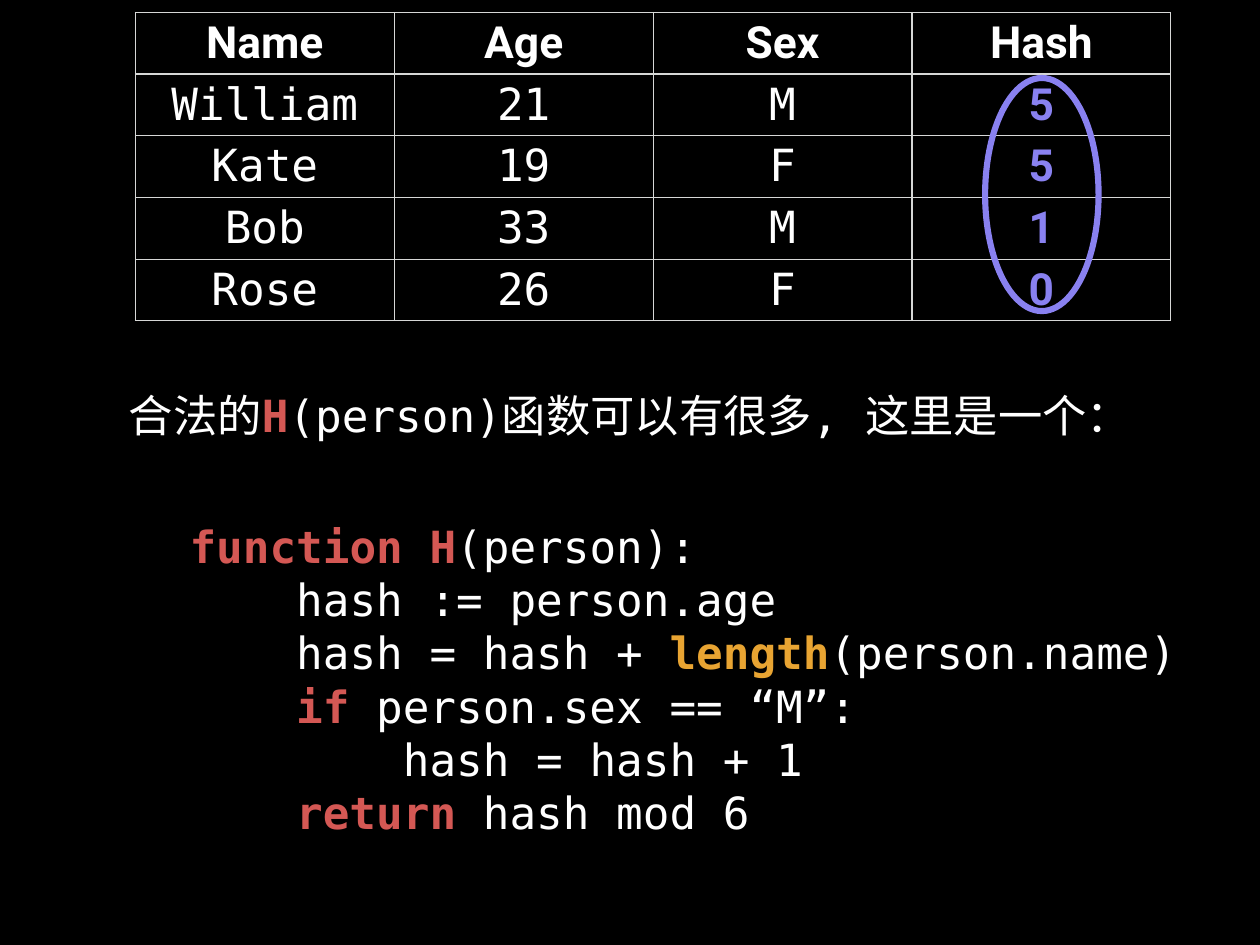
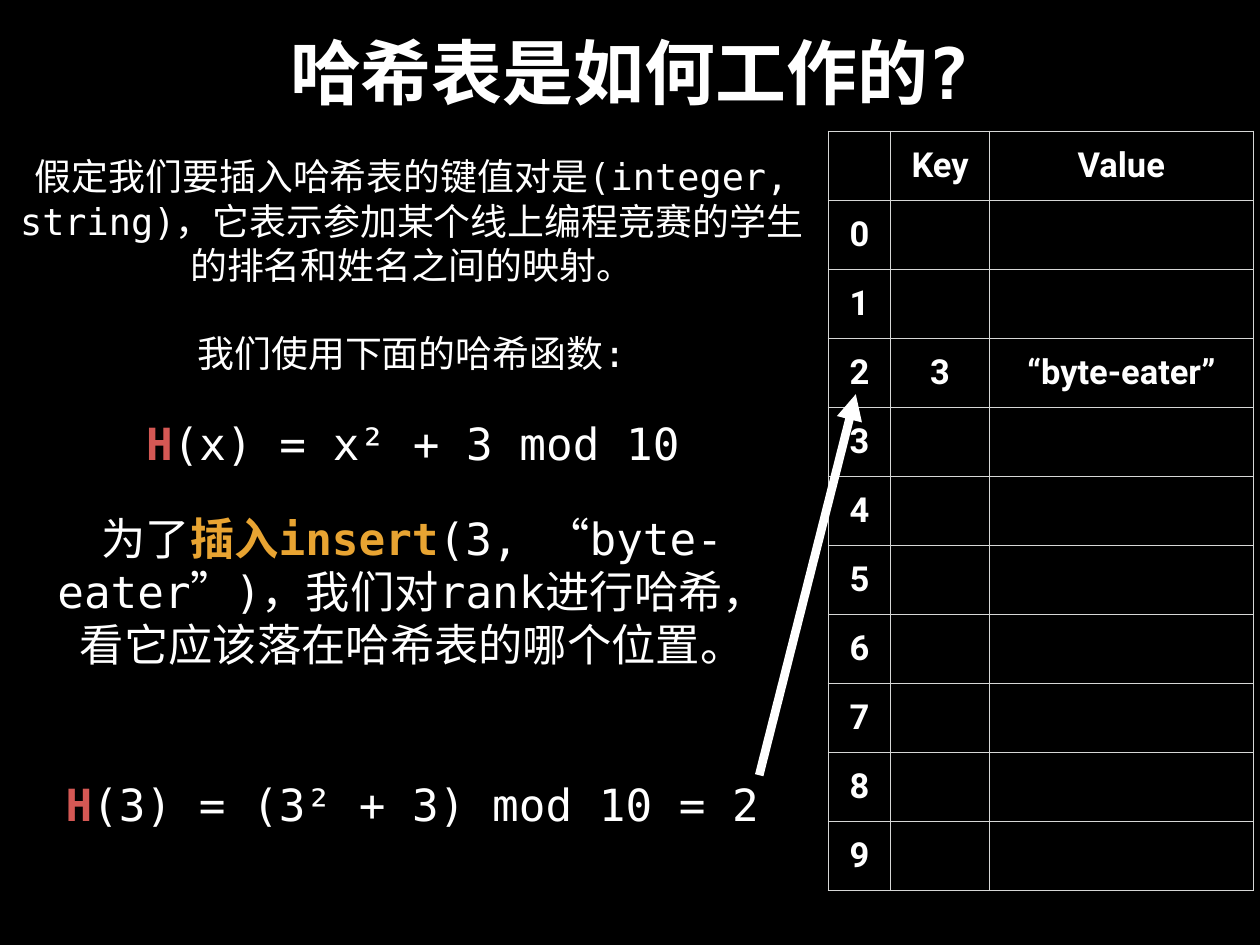
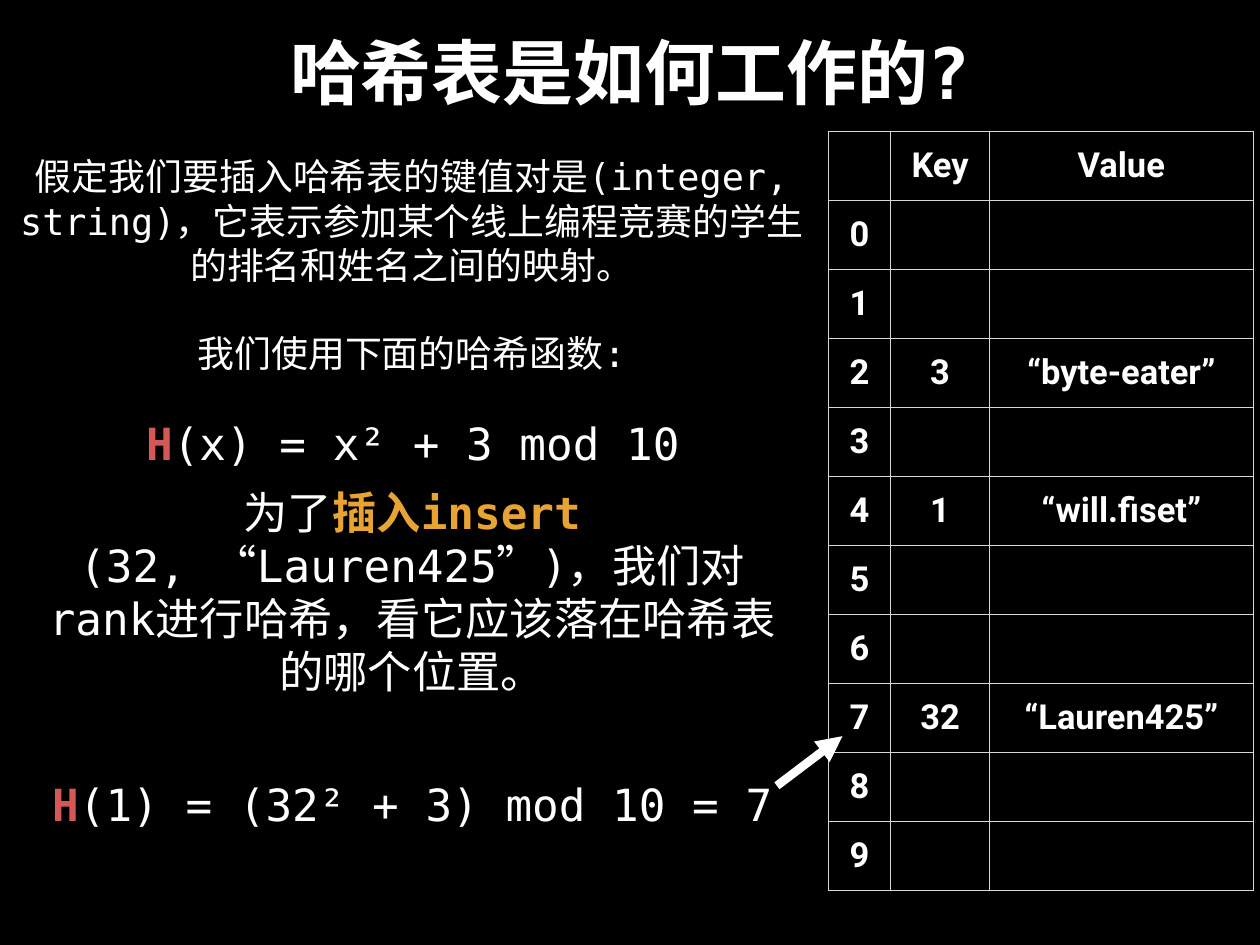
"""Builds three dark slides that explain hash functions and hash tables."""
from dataclasses import dataclass

from lxml.etree import SubElement as Sub
from pptx import Presentation
from pptx.dml.color import RGBColor as Rgb
from pptx.enum.shapes import MSO_CONNECTOR as Conn, MSO_SHAPE as Geo
from pptx.enum.text import MSO_ANCHOR as Anchor, MSO_AUTO_SIZE as Auto, PP_ALIGN as Align
from pptx.oxml.ns import qn
from pptx.util import Pt


@dataclass(frozen=True)
class Theme:
    back: str = "000000"
    ink: str = "FFFFFF"
    red: str = "D45854"
    gold: str = "E8A432"
    mauve: str = "8981F0"
    rule: str = "D6D7D6"
    mono: str = "DejaVu Sans Mono"
    sans: str = "Roboto"
    title: float = 57.6
    body: float = 36
    note: float = 30
    cell: float = 28
    lead: float = 1.2
    inset: float = 4
    cols: int = 1024
    rows: int = 768


T = Theme()


class Deck:
    def __init__(self):
        self.prs = Presentation()
        self.prs.slide_width, self.prs.slide_height = Pt(T.cols), Pt(T.rows)
        self.paint(self.prs.slide_master.background.fill, T.back)
        self.page = None

    def paint(self, fill, tint):
        fill.solid()
        fill.fore_color.rgb = Rgb.from_string(tint)

    def add(self):
        self.page = self.prs.slides.add_slide(self.prs.slide_layouts[6])

    def run(self, para, text, size, tint=T.ink, bold=False, face=T.mono):
        run = para.add_run()
        run.text = text
        font = run.font
        font.name, font.size, font.bold = face, Pt(size), bold
        font.color.rgb = Rgb.from_string(tint)

    def text(self, box, paras, size=T.body, wrap=True, grow=True,
             align=Align.CENTER, anchor=Anchor.MIDDLE, gap=0):
        frame = self.page.shapes.add_textbox(*map(Pt, box)).text_frame
        frame.word_wrap = wrap
        frame.auto_size = Auto.SHAPE_TO_FIT_TEXT if grow else Auto.NONE
        frame.vertical_anchor = anchor
        self.pad(frame)
        for i, runs in enumerate(paras):
            para = frame.add_paragraph() if i else frame.paragraphs[0]
            para.alignment = align
            para.line_spacing = Pt(size * T.lead)
            if i and gap:
                para.space_before = Pt(gap)
            for text, *look in runs:
                self.run(para, text, size, *look)

    def pad(self, item):
        item.margin_left = item.margin_right = Pt(T.inset)
        item.margin_top = item.margin_bottom = Pt(T.inset)

    def title(self, text):
        self.text((34.5, 11.5, 955.5, 92), [[(text, T.ink, True)]], T.title, grow=False)

    def edge(self, cell):
        props = cell._tc.get_or_add_tcPr()
        for side in "LRTB":
            line = Sub(props, qn(f"a:ln{side}"), w=str(Pt(1)))
            fill = Sub(line, qn("a:solidFill"))
            Sub(fill, qn("a:srgbClr"), val=T.rule)

    def table(self, left, top, widths, height, data, size, look):
        box = map(Pt, (left, top, sum(widths), height * len(data)))
        table = self.page.shapes.add_table(len(data), len(widths), *box).table
        table.first_row = table.horz_banding = False
        for col, width in zip(table.columns, widths):
            col.width = Pt(width)
        for r, line in enumerate(data):
            table.rows[r].height = Pt(height)
            for c, text in enumerate(line):
                cell = table.cell(r, c)
                self.pad(cell)
                self.edge(cell)
                cell.fill.background()
                cell.vertical_anchor = Anchor.MIDDLE
                para = cell.text_frame.paragraphs[0]
                para.alignment = Align.CENTER
                if text:
                    self.run(para, text, size, *look(r, c))

    def ring(self, box, tint, width):
        ring = self.page.shapes.add_shape(Geo.OVAL, *map(Pt, box))
        ring.shadow.inherit = False
        ring.fill.background()
        self.paint(ring.line.fill, tint)
        ring.line.width = Pt(width)

    def arrow(self, ends, width=7):
        link = self.page.shapes.add_connector(Conn.STRAIGHT, *map(Pt, ends))
        self.paint(link.line.fill, T.ink)
        link.line.width = Pt(width)
        Sub(link.line._get_or_add_ln(), qn("a:tailEnd"), type="triangle")
        Sub(link._element.spPr, qn("a:effectLst"))


def key(text):
    return text, T.red, True


def call(text):
    return text, T.gold, True


def look(r, c):
    if r == 0:
        return T.ink, True, T.sans
    return (T.mauve, True, T.sans) if c == 3 else (T.ink, False, T.mono)


def people(deck):
    deck.add()
    data = [("Name", "Age", "Sex", "Hash"), ("William", "21", "M", "5"),
            ("Kate", "19", "F", "5"), ("Bob", "33", "M", "1"), ("Rose", "26", "F", "0")]
    deck.table(110, 10, [210.4] * 4, 49, data, T.body, look)
    code = [
        [key("function H"), ("(person):",)],
        [("    hash := person.age",)],
        [("    hash = hash + ",), call("length"), ("(person.name)",)],
        [("    ",), key("if"), (" person.sex == “M”:",)],
        [("        hash = hash + 1",)],
        [("    ",), key("return"), (" hash mod 6",)],
    ]
    deck.text((150, 418, 832, 295), code, wrap=False, align=Align.LEFT, anchor=Anchor.TOP)
    deck.ring((800.6, 63.4, 92.2, 189.4), T.mauve, 5)
    deck.text((97, 311, 830, 52),
              [[("合法的",), key("H"), ("(person)函数可以有很多, 这里是一个：",)]], wrap=False)


def insert(deck, slots, task, top, tall, sum_box, result, ends):
    deck.add()
    data = [("", "Key", "Value")]
    data += [(str(n), *slots.get(n, ("", ""))) for n in range(10)]
    deck.table(673, 106.5, (51, 80, 214.5), 56.1, data, T.cell,
               lambda r, c: (T.ink, True, T.sans))
    deck.text((33, top, 604, tall), task)
    deck.text(sum_box, [[key("H"), (result,)]], wrap=False)
    deck.arrow(ends)
    deck.text((114, 335, 443, 49), [[key("H"), ("(x) = x² + 3 mod 10",)]], wrap=False)
    intro = "假定我们要插入哈希表的键值对是(integer, string)，它表示参加某个线上编程竞赛的学生的排名和姓名之间的映射。"
    deck.text((4, 120, 661, 190), [[(intro,)], [("我们使用下面的哈希函数:",)]],
              T.note, gap=T.note * T.lead)
    deck.title("哈希表是如何工作的?")


def main():
    deck = Deck()
    people(deck)
    lead = [("为了",), call("插入"), call("insert")]
    rest = "，我们对rank进行哈希，看它应该落在哈希表的哪个位置。"
    slots = {2: ("3", "“byte-eater”")}
    insert(deck, slots, [lead + [("(3, “byte-eater”)" + rest,)]], 410.5, 139,
           (49, 629, 572, 49), "(3) = (3² + 3) mod 10 = 2", (617, 630, 695.5, 320.4))
    slots |= {4: ("1", "“will.fiset”"), 7: ("32", "“Lauren425”")}
    insert(deck, slots, [lead, [("(32, “Lauren425”)" + rest,)]], 389, 183,
           (38, 629, 594, 49), "(1) = (32² + 3) mod 10 = 7", (631.4, 638.6, 684.7, 598.3))
    deck.prs.save("out.pptx")


if __name__ == "__main__":
    main()
